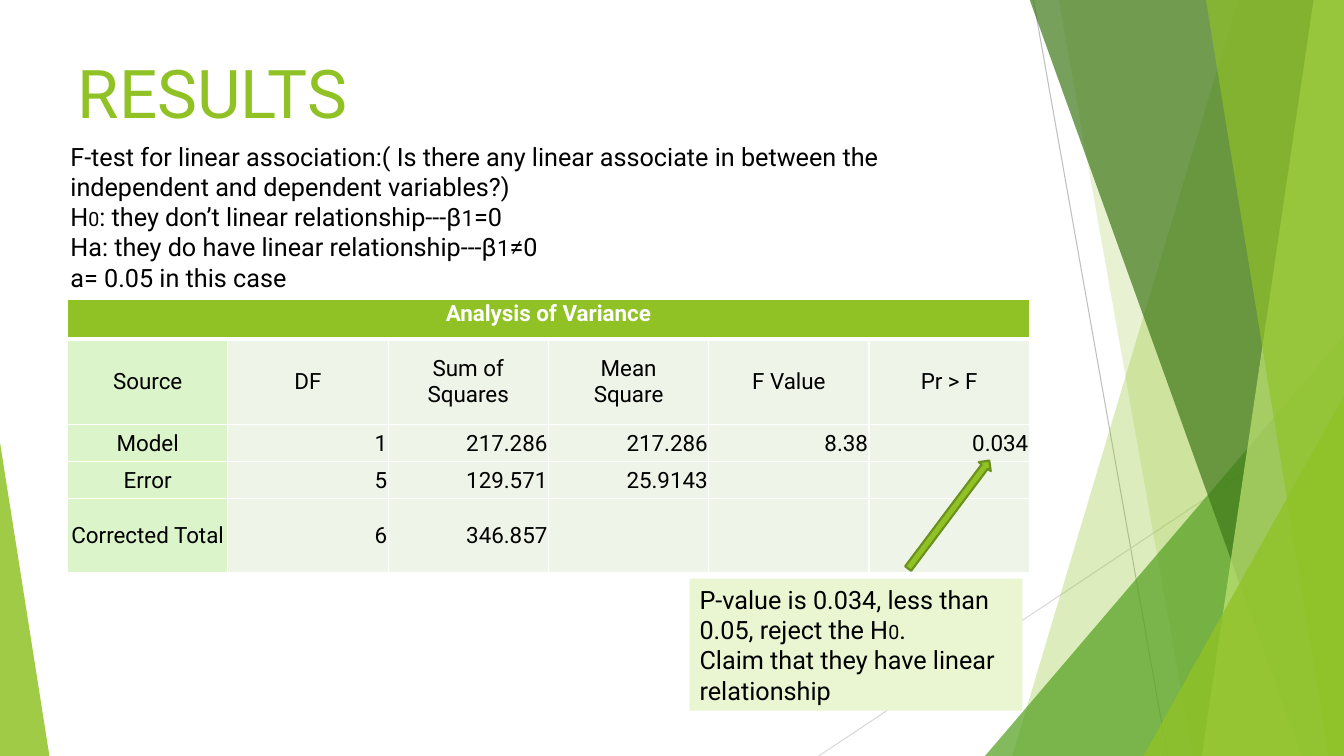
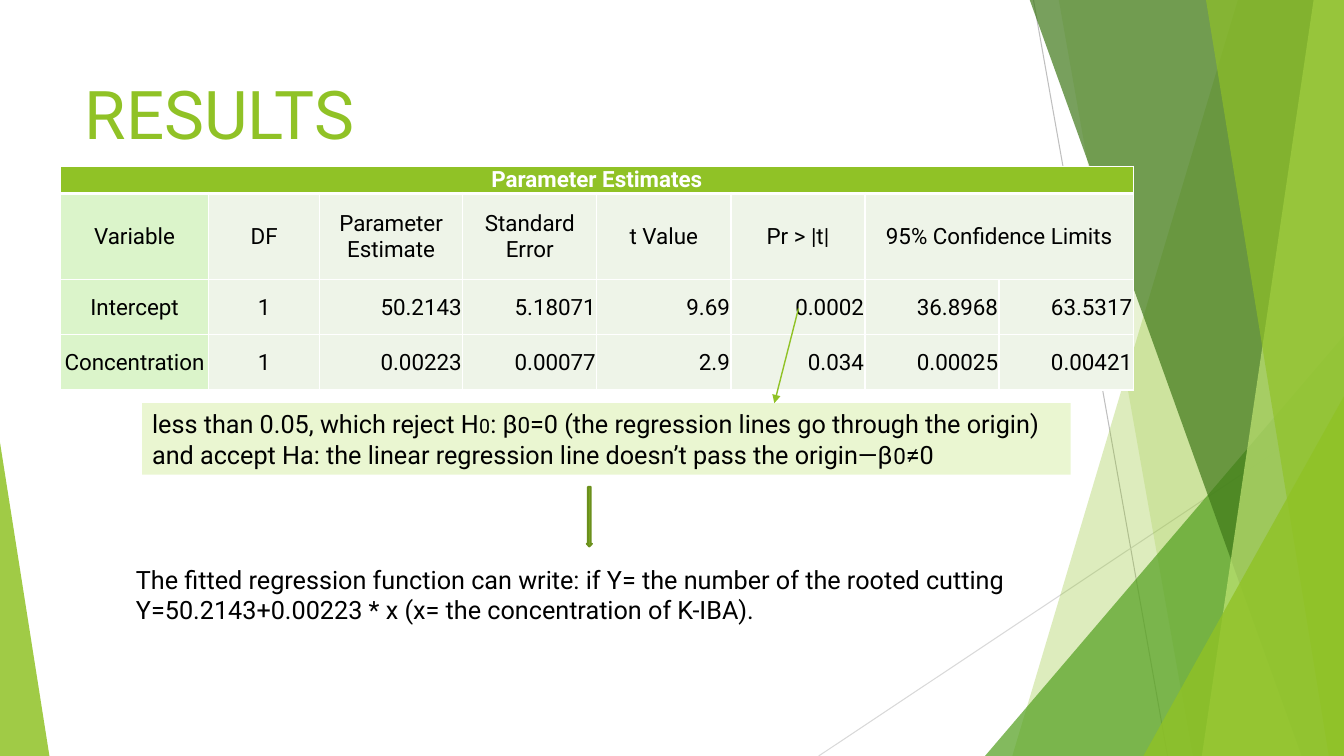
from dataclasses import dataclass
from typing import NamedTuple

from lxml.etree import SubElement
from pptx import Presentation
from pptx.dml.color import RGBColor
from pptx.enum.shapes import MSO_CONNECTOR, MSO_SHAPE
from pptx.enum.text import MSO_ANCHOR, PP_ALIGN
from pptx.oxml import parse_xml
from pptx.oxml.ns import nsdecls, qn
from pptx.util import Inches, Pt


@dataclass(frozen=True)
class Theme:
    font: str = "Roboto"
    lime: str = "90C226"
    leaf: str = "54A021"
    pine: str = "3F7819"
    pale: str = "C0E474"
    edge: str = "6B901C"
    note: str = "EAF6D1"
    side: str = "DBF4CA"
    cell: str = "EEF4E8"
    gray: str = "BFBFBF"
    mist: str = "D9D9D9"
    white: str = "FFFFFF"
    black: str = "000000"
    title: int = 48
    body: int = 18
    grid: int = 16
    sub: int = 14


THEME = Theme()
WIDE, HIGH = 13.33, 7.5


class Box(NamedTuple):
    x: float
    y: float
    w: float
    h: float


class Run(NamedTuple):
    text: str
    size: int | None = None


class Ray(NamedTuple):
    start: tuple[float, float]
    end: tuple[float, float]
    tint: str
    width: float


class Band(NamedTuple):
    top: float
    foot: float
    tint: str
    alpha: int


class Wedge(NamedTuple):
    box: Box
    peak: float
    tint: str
    alpha: int


class Arrow(NamedTuple):
    kind: MSO_SHAPE
    box: Box
    turn: float = 0


class Grid(NamedTuple):
    x: float
    y: float
    cols: list[float]
    rows: list[float]
    text: list[list[str]]
    spans: list[tuple[int, int, int]]
    mid: int


DECOR = [
    Ray((10.25, 0), (11.58, HIGH), THEME.gray, 0.75),
    Ray((WIDE, 4.03), (8.12, HIGH), THEME.mist, 0.75),
    Band(12.28, 10.04, THEME.lime, 30),
    Band(10.5, 11.83, THEME.lime, 20),
    Wedge(Box(9.77, 3.33, 3.56, 4.17), 1, THEME.leaf, 72),
    Band(10.21, 12.91, THEME.pine, 70),
    Band(13.03, 11.92, THEME.pale, 70),
    Band(11.96, 13.18, THEME.lime, 65),
    Wedge(Box(11.34, 3.93, 1.99, 3.57), 1, THEME.lime, 80),
    Wedge(Box(0, 4.39, 0.49, 3.11), 0, THEME.lime, 85),
]


def place(box: Box) -> list[int]:
    return [Inches(side) for side in box]


def paint(shape, tint: str, alpha: int = 100) -> None:
    shape.shadow.inherit = False
    shape.fill.solid()
    shape.fill.fore_color.rgb = RGBColor.from_string(tint)
    shape.line.fill.background()
    if alpha < 100:
        node = shape.element.spPr.find(qn("a:solidFill"))[0]
        SubElement(node, qn("a:alpha"), val=str(alpha * 1000))


def ink(para, size: int, tint: str = THEME.black, bold: bool = False) -> None:
    para.font.name = THEME.font
    para.font.size = Pt(size)
    para.font.bold = bold
    para.font.color.rgb = RGBColor.from_string(tint)


def draw_ray(shapes, ray: Ray, head: bool = False) -> None:
    ends = [Inches(n) for n in (*ray.start, *ray.end)]
    line = shapes.add_connector(MSO_CONNECTOR.STRAIGHT, *ends)
    line.line.color.rgb = RGBColor.from_string(ray.tint)
    line.line.width = Pt(ray.width)
    if head:
        SubElement(line.line._get_or_add_ln(), qn("a:tailEnd"), type="triangle")
    SubElement(line.element.spPr, qn("a:effectLst"))


def draw_band(shapes, band: Band) -> None:
    pen = shapes.build_freeform(Inches(band.top), Inches(-0.01))
    spots = [(WIDE, -0.01), (WIDE, HIGH), (band.foot, HIGH)]
    pen.add_line_segments([(Inches(x), Inches(y)) for x, y in spots])
    paint(pen.convert_to_shape(), band.tint, band.alpha)


def draw_wedge(shapes, wedge: Wedge) -> None:
    shape = shapes.add_shape(MSO_SHAPE.ISOSCELES_TRIANGLE, *place(wedge.box))
    shape.adjustments[0] = wedge.peak
    paint(shape, wedge.tint, wedge.alpha)


def add_decor(slide, layout) -> None:
    tools = {Ray: draw_ray, Band: draw_band, Wedge: draw_wedge}
    group = slide.shapes.add_group_shape()
    for part in DECOR:
        tools[type(part)](group.shapes, part)
    for key, node in enumerate(group.element.iter(qn("p:cNvPr")), 100):
        node.set("id", str(key))
    layout.shapes.element.insert(2, group.element)


def set_title(slide, box: Box) -> None:
    title = slide.shapes.title
    title.left, title.top, title.width, title.height = place(box)
    frame = title.text_frame
    frame.text = "RESULTS"
    frame.vertical_anchor = MSO_ANCHOR.TOP
    para = frame.paragraphs[0]
    para.alignment = PP_ALIGN.LEFT
    ink(para, THEME.title, THEME.lime)


def add_text(slide, box: Box, paras: list[list[Run]], fill: str = "") -> None:
    if fill:
        shape = slide.shapes.add_shape(MSO_SHAPE.RECTANGLE, *place(box))
        paint(shape, fill)
    else:
        shape = slide.shapes.add_textbox(*place(box))
    frame = shape.text_frame
    frame.word_wrap = True
    for n, runs in enumerate(paras):
        para = frame.add_paragraph() if n else frame.paragraphs[0]
        para.alignment = PP_ALIGN.LEFT
        ink(para, THEME.body)
        for item in runs:
            run = para.add_run()
            run.text = item.text
            if item.size:
                run.font.size = Pt(item.size)


def add_arrow(slide, arrow: Arrow) -> None:
    shape = slide.shapes.add_shape(arrow.kind, *place(arrow.box))
    shape.rotation = arrow.turn
    paint(shape, THEME.lime)
    shape.line.color.rgb = RGBColor.from_string(THEME.edge)
    shape.line.width = Pt(1.5)


def rule_cell(cell, foot: float) -> None:
    props = cell._tc.get_or_add_tcPr()
    for n, (side, width) in enumerate(zip("LRTB", (1, 1, 1, foot))):
        props.insert(n, parse_xml(
            f'<a:ln{side} {nsdecls("a")} w="{Pt(width)}"><a:solidFill>'
            f'<a:srgbClr val="{THEME.white}"/></a:solidFill></a:ln{side}>'))


def fill_cell(cell, text: str, row: int, col: int, mid: int) -> None:
    head = row == 0
    cell.text = text
    cell.margin_left = cell.margin_right = cell.margin_top = Inches(0.01)
    cell.margin_bottom = 0
    cell.vertical_anchor = MSO_ANCHOR.TOP if head else MSO_ANCHOR.MIDDLE
    tint = THEME.lime if head else THEME.cell if col else THEME.side
    cell.fill.solid()
    cell.fill.fore_color.rgb = RGBColor.from_string(tint)
    rule_cell(cell, 3 if head else 1)
    center = row < 2 or col < mid
    for para in cell.text_frame.paragraphs:
        para.alignment = PP_ALIGN.CENTER if center else PP_ALIGN.RIGHT
        ink(para, THEME.grid, THEME.white if head else THEME.black, head)


def add_grid(slide, grid: Grid) -> None:
    box = Box(grid.x, grid.y, sum(grid.cols), sum(grid.rows))
    table = slide.shapes.add_table(
        len(grid.rows), len(grid.cols), *place(box)).table
    for col, width in zip(table.columns, grid.cols):
        col.width = Inches(width)
    for row, height in zip(table.rows, grid.rows):
        row.height = Inches(height)
    for r, words in enumerate(grid.text):
        for c in range(len(grid.cols)):
            text = words[c] if c < len(words) else ""
            fill_cell(table.cell(r, c), text, r, c, grid.mid)
    for row, first, last in grid.spans:
        table.cell(row, first).merge(table.cell(row, last))


def build_test(slide) -> None:
    set_title(slide, Box(0.67, 0.46, 9.4, 1.44))
    add_grid(slide, Grid(
        0.67, 2.97, [1.59] * 6, [0.39, 0.85, 0.37, 0.37, 0.73],
        [["Analysis of Variance"],
         ["Source", "DF", "Sum of\nSquares", "Mean\nSquare", "F Value",
          "Pr > F"],
         ["Model", "1", "217.286", "217.286", "8.38", "0.034"],
         ["Error", "5", "129.571", "25.9143"],
         ["Corrected Total", "6", "346.857"]],
        [(0, 0, 5)], 1))
    add_text(slide, Box(0.6, 1.35, 9.54, 1.62), [
        [Run("F-test for linear association:( Is there any linear associate "
             "in between the independent and dependent variables?)")],
        [Run("H"), Run("0", THEME.sub),
         Run(": they don’t linear relationship---β"),
         Run("1", THEME.grid), Run("=0")],
        [Run("Ha: they do have linear relationship---β"),
         Run("1", THEME.grid), Run("≠0")],
        [Run("a= 0.05 in this case")]])
    add_arrow(slide, Arrow(
        MSO_SHAPE.RIGHT_ARROW, Box(8.74, 5.03, 1.34, 0.15), 306.9))
    add_text(slide, Box(6.84, 5.74, 3.3, 1.31), [
        [Run("P-value is 0.034, less than 0.05, reject the H"),
         Run("0", THEME.sub), Run(".")],
        [Run("Claim that they have linear relationship")]], THEME.note)


def build_fit(slide) -> None:
    set_title(slide, Box(0.74, 0.67, 9.4, 1.44))
    add_grid(slide, Grid(
        0.6, 1.65, [1.47, 1.1, 1.42] + [1.33] * 5, [0.27, 0.85, 0.55, 0.55],
        [["Parameter Estimates"],
         ["Variable", "DF", "Parameter\nEstimate", "Standard\nError",
          "t Value", "Pr > |t|", "95% Confidence Limits"],
         ["Intercept", "1", "50.2143", "5.18071", "9.69", "0.0002",
          "36.8968", "63.5317"],
         ["Concentration", "1", "0.00223", "0.00077", "2.9", "0.034",
          "0.00025", "0.00421"]],
        [(0, 0, 7), (1, 6, 7)], 2))
    add_text(slide, Box(1.41, 4, 9.21, 0.71), [
        [Run("less than 0.05, which reject H"), Run("0", THEME.sub),
         Run(": β"), Run("0", THEME.grid),
         Run("=0 (the regression lines go through the origin) and accept "
             "Ha: the linear regression line doesn’t pass the origin—β"),
         Run("0", THEME.grid), Run("≠0")]], THEME.note)
    draw_ray(slide.shapes, Ray((7.92, 3.06), (7.68, 4), THEME.lime, 1), True)
    add_arrow(slide, Arrow(MSO_SHAPE.DOWN_ARROW, Box(5.82, 4.83, 0.05, 0.59)))
    add_text(slide, Box(1.25, 5.55, 9.25, 0.71), [
        [Run("The fitted regression function can write: if Y= the number of "
             "the rooted cutting")],
        [Run("Y=50.2143+0.00223 * x (x= the concentration of K-IBA).")]])


def main() -> None:
    deck = Presentation()
    deck.slide_width, deck.slide_height = Inches(WIDE), Inches(HIGH)
    layout = deck.slide_layouts[5]
    slides = [deck.slides.add_slide(layout) for _ in range(2)]
    add_decor(slides[0], layout)
    build_test(slides[0])
    build_fit(slides[1])
    deck.save("out.pptx")


if __name__ == "__main__":
    main()
